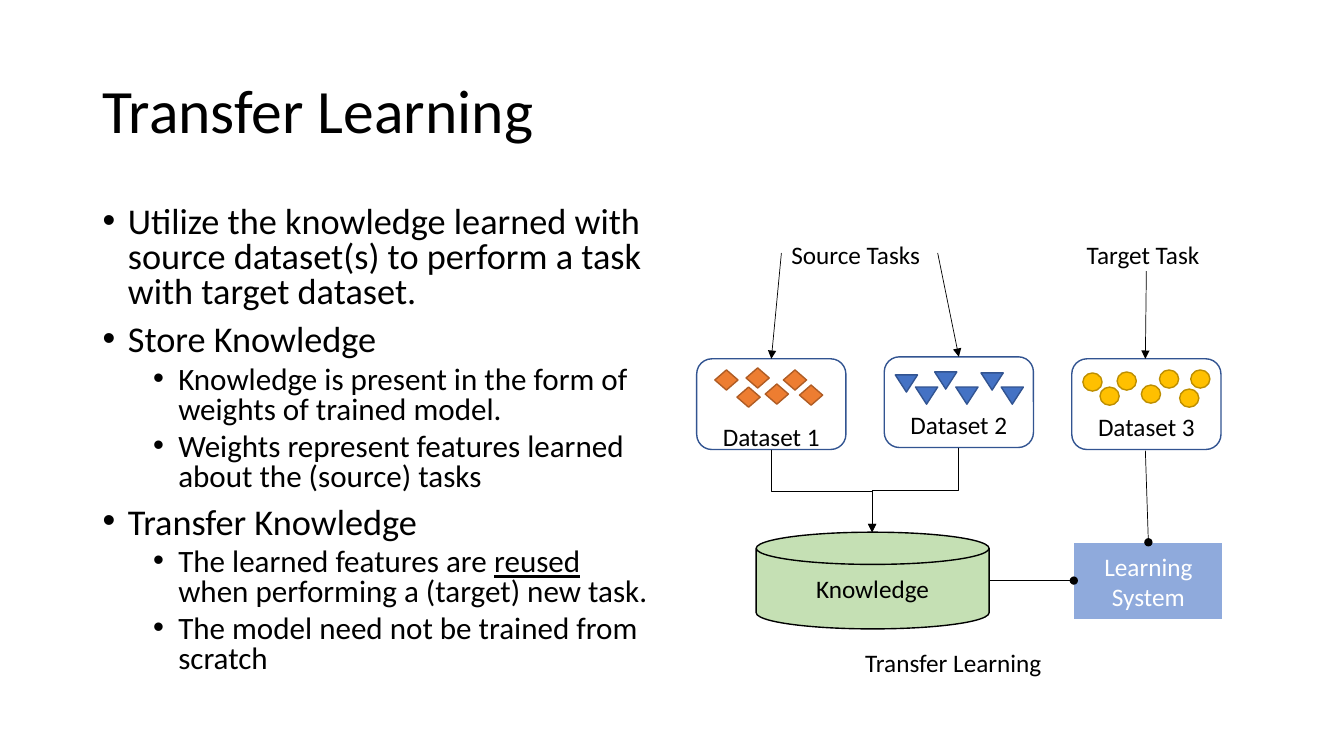
"""Build the Transfer Learning slide with bullets and a dataset diagram."""
from dataclasses import dataclass
from typing import Any

from lxml import etree
from pptx import Presentation
from pptx import util as u
from pptx.dml import color
from pptx.enum import shapes, text
from pptx.oxml import ns

PX = 9144
FONT = "Calibri"
COLORS = {
    "black": "000000", "white": "FFFFFF", "navy": "325491", "blue": "4472C4",
    "orange": "ED7D31", "rust": "AF5C24", "gold": "FFC000", "ochre": "BD8E00",
    "green": "C5E0B4", "system": "8FAADC",
}
SHAPE = shapes.MSO_SHAPE
ANCHOR = text.MSO_ANCHOR
CENTER = text.PP_ALIGN.CENTER


@dataclass(frozen=True)
class Box:
    x: int
    y: int
    w: int
    h: int


@dataclass(frozen=True)
class Node:
    box: Box
    kind: Any
    fill: str
    line: str
    label: str = ""
    ink: str = "black"


@dataclass(frozen=True)
class Dataset:
    label: str
    x: int
    y: int
    label_top: int
    kind: Any
    fill: str
    line: str
    size: tuple[int, int]
    marks: tuple[tuple[int, int], ...]


@dataclass(frozen=True)
class Link:
    x1: int
    y1: int
    x2: int
    y2: int
    tail: str
    bent: bool = False


@dataclass(frozen=True)
class Label:
    words: str
    box: Box
    wrap: bool = False


@dataclass(frozen=True)
class Bullet:
    level: int
    runs: tuple[str, ...]


LEVELS = (
    {"size": 25.9, "indent": 25, "before": 10},
    {"size": 22.2, "indent": 75, "before": 5},
)
UNDERLINED = "reused"
BULLETS = (
    Bullet(0, ("Utilize the knowledge learned with source dataset(s) to perform a task with target dataset.",)),
    Bullet(0, ("Store Knowledge",)),
    Bullet(1, ("Knowledge is present in the form of weights of trained model.",)),
    Bullet(1, ("Weights represent features learned about the (source) tasks",)),
    Bullet(0, ("Transfer Knowledge",)),
    Bullet(1, ("The learned features are ", UNDERLINED, " when performing a (target) new task.")),
    Bullet(1, ("The model need not be trained from scratch",)),
)
NODES = (
    Node(Box(1065, 538, 148, 77), SHAPE.RECTANGLE, "system", "white", "Learning System", "white"),
    Node(Box(750, 528, 231, 96), SHAPE.FLOWCHART_MAGNETIC_DISK, "green", "black", "Knowledge"),
)
DATASETS = (
    Dataset("Dataset 1", 691, 356, 58, SHAPE.DIAMOND, "orange", "rust", (23, 20),
            ((709, 367), (731, 384), (740, 365), (759, 381), (777, 367), (793, 382))),
    Dataset("Dataset 2", 877, 354, 48, SHAPE.FLOWCHART_MERGE, "blue", "navy", (22, 17),
            ((888, 372), (908, 384), (927, 369), (948, 384), (973, 370), (993, 384))),
    Dataset("Dataset 3", 1063, 356, 48, SHAPE.OVAL, "gold", "ochre", (19, 18),
            ((1074, 370), (1091, 384), (1108, 369), (1132, 382), (1181, 367), (1150, 367), (1170, 386))),
)
LINKS = (
    Link(1136, 447, 1139, 538, "oval"),
    Link(981, 576, 1065, 576, "oval"),
    Link(775, 251, 765, 356, "triangle"),
    Link(930, 251, 951, 354, "triangle"),
    Link(1137, 269, 1136, 356, "triangle"),
    Link(765, 446, 865, 528, "triangle", True),
    Link(951, 444, 865, 528, "triangle", True),
)
LABELS = (
    Label("Source Tasks", Box(775, 232, 154, 38)),
    Label("Target Task", Box(1068, 232, 138, 38)),
    Label("Transfer Learning", Box(770, 637, 351, 38), True),
)


def px(value: float) -> int:
    return int(value * PX)


def rgb(name: str) -> color.RGBColor:
    return color.RGBColor.from_string(COLORS[name])


def apply(obj: Any, values: dict[str, Any]) -> None:
    for key, value in values.items():
        setattr(obj, key, value)


def place(box: Box) -> tuple[int, ...]:
    return tuple(px(v) for v in (box.x, box.y, box.w, box.h))


def add_run(p: Any, words: str, size: float, ink: str = "black") -> Any:
    r = p.add_run()
    r.text = words
    apply(r.font, {"name": FONT, "size": u.Pt(size)})
    r.font.color.rgb = rgb(ink)
    return r


def add_label(s: Any, label: Label, size: float = 18, **para: Any) -> Any:
    tf = s.shapes.add_textbox(*place(label.box)).text_frame
    tf.word_wrap = label.wrap
    apply(tf.paragraphs[0], para)
    add_run(tf.paragraphs[0], label.words, size)
    return tf


def add_node(s: Any, node: Node, frame: dict[str, Any]) -> None:
    sp = s.shapes.add_shape(node.kind, *place(node.box))
    sp.shadow.inherit = False
    sp.fill.solid()
    sp.fill.fore_color.rgb = rgb(node.fill)
    sp.line.color.rgb = rgb(node.line)
    sp.line.width = u.Pt(1)
    if node.label:
        tf = sp.text_frame
        apply(tf, {"word_wrap": True} | frame)
        tf.paragraphs[0].alignment = CENTER
        add_run(tf.paragraphs[0], node.label, 18, node.ink)


def add_dataset(s: Any, data: Dataset) -> None:
    card = Node(Box(data.x, data.y, 148, 90), SHAPE.ROUNDED_RECTANGLE, "white", "navy", data.label)
    add_node(s, card, {"vertical_anchor": ANCHOR.TOP, "margin_top": px(data.label_top), "margin_bottom": 0})
    for x, y in data.marks:
        add_node(s, Node(Box(x, y, *data.size), data.kind, data.fill, data.line), {})


def add_link(s: Any, link: Link) -> None:
    kind, ends = shapes.MSO_CONNECTOR.STRAIGHT, (link.x1, link.y1, link.x2, link.y2)
    dx, dy = link.x2 - link.x1, link.y2 - link.y1
    if link.bent:
        kind = shapes.MSO_CONNECTOR.ELBOW
        cx, cy = (link.x1 + link.x2) / 2, (link.y1 + link.y2) / 2
        half = dy / 2 if dx > 0 else -dy / 2
        ends = (cx + half, cy - abs(dx) / 2, cx - half, cy + abs(dx) / 2)
    cxn = s.shapes.add_connector(kind, *(px(v) for v in ends))
    cxn.line.color.rgb = rgb("black")
    cxn.line.width = u.Pt(0.5)
    props = cxn._element.spPr
    if link.bent:
        props.find(ns.qn("a:xfrm")).set("rot", str((270 if dx > 0 else 90) * 60000))
    etree.SubElement(props.find(ns.qn("a:ln")), ns.qn("a:tailEnd"), type=link.tail)
    etree.SubElement(props, ns.qn("a:effectLst"))


def add_bullets(s: Any, box: Box) -> None:
    tf = s.shapes.add_textbox(*place(box)).text_frame
    tf.word_wrap = True
    for i, bullet in enumerate(BULLETS):
        p = tf.paragraphs[0] if i == 0 else tf.add_paragraph()
        level = LEVELS[bullet.level]
        apply(p, {"level": bullet.level, "line_spacing": 0.8, "space_before": u.Pt(level["before"] if i else 0)})
        props = p._p.get_or_add_pPr()
        props.set("marL", str(px(level["indent"])))
        props.set("indent", str(px(-25)))
        etree.SubElement(props, ns.qn("a:buFont"), typeface="Arial")
        etree.SubElement(props, ns.qn("a:buChar"), char="•")
        for words in bullet.runs:
            r = add_run(p, words, level["size"])
            r.font.underline = words == UNDERLINED


def main() -> None:
    prs = Presentation()
    apply(prs, {"slide_width": px(1333), "slide_height": px(750)})
    s = prs.slides.add_slide(prs.slide_layouts[6])
    title = add_label(s, Label("Transfer Learning", Box(92, 40, 1150, 145), True), 44, line_spacing=0.9)
    title.vertical_anchor = ANCHOR.MIDDLE
    add_bullets(s, Box(92, 200, 567, 476))
    for node in NODES:
        add_node(s, node, {"vertical_anchor": ANCHOR.MIDDLE})
    for data in DATASETS:
        add_dataset(s, data)
    for link in LINKS:
        add_link(s, link)
    for label in LABELS:
        add_label(s, label, alignment=CENTER if label.wrap else text.PP_ALIGN.LEFT)
    prs.save("out.pptx")


if __name__ == "__main__":
    main()
